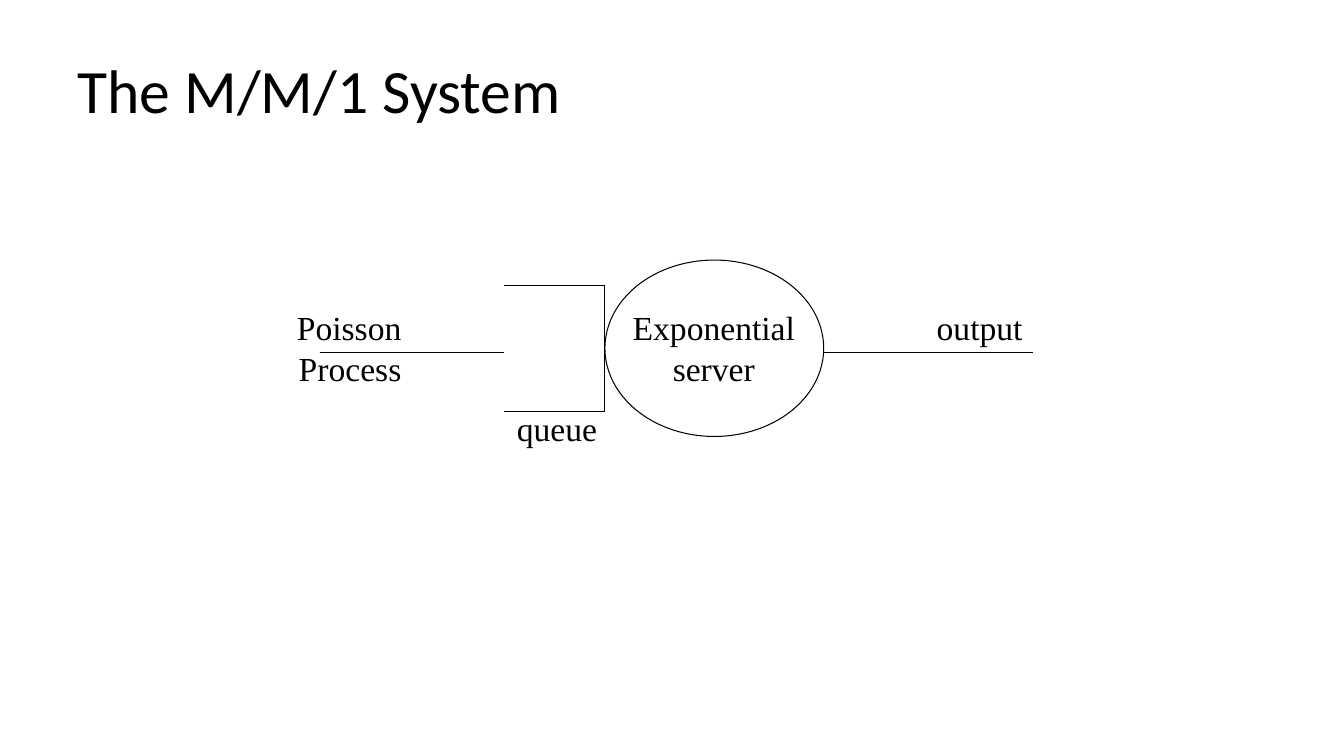
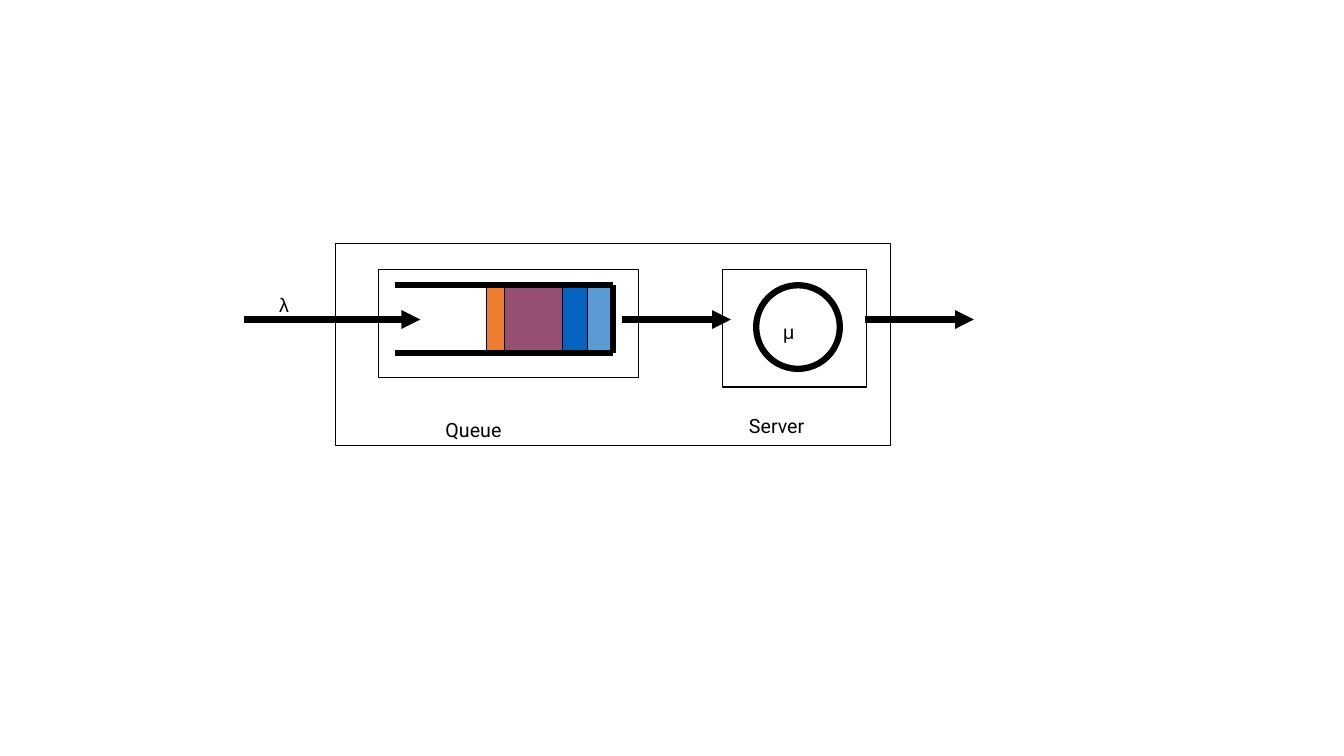
"""Build two slides that show the M/M/1 queueing system."""
from dataclasses import dataclass

from lxml.etree import SubElement
from pptx import Presentation
from pptx.dml.color import RGBColor
from pptx.enum.shapes import MSO_CONNECTOR, MSO_SHAPE
from pptx.enum.text import MSO_ANCHOR, PP_ALIGN
from pptx.oxml.ns import qn
from pptx.util import Inches, Pt


@dataclass(frozen=True)
class Theme:
    ink: str = "000000"
    paper: str = "FFFFFF"
    title_font: str = "Calibri"
    title_size: int = 44
    diagram_font: str = "Times New Roman"
    diagram_size: int = 24
    label_font: str = "Roboto"
    symbol_font: str = "Arial"
    label_size: int = 14
    thin: float = 0.75
    thick: float = 4.5


THEME = Theme()
TITLE = "The M/M/1 System"
TITLE_BOX = (0.67, 0.3, 12, 1.25)

SERVER_OVAL = (6, 2.58, 2.17, 1.75)
SYSTEM_LINES = [
    (3.17, 3.5, 5, 3.5),
    (5, 2.83, 6, 2.83),
    (6, 2.83, 6, 4.08),
    (5, 4.08, 6, 4.08),
    (8.17, 3.5, 10.25, 3.5),
]
SYSTEM_LABELS = [
    ("Poisson Process", (2.25, 3, 1.83, 0.91), PP_ALIGN.RIGHT),
    ("output", (8.74, 3, 1.5, 0.5), PP_ALIGN.RIGHT),
    ("queue", (4.52, 4, 1.5, 0.5), PP_ALIGN.RIGHT),
    ("Exponential server", (6.08, 3, 2, 0.91), PP_ALIGN.CENTER),
]

JOBS_LEFT, JOBS_TOP, JOBS_HEIGHT = 4.83, 2.83, 0.67
JOBS = [(0.17, "ED7D31"), (0.58, "954F72"), (0.25, "0563C1"), (0.25, "5B9BD5")]
QUEUE_WALLS = [
    (3.92, 2.83, 6.08, 2.83),
    (6.08, 2.83, 6.08, 3.5),
    (3.92, 3.5, 6.08, 3.5),
]
SERVER_CIRCLE = (7.5, 2.83, 0.83, 0.83)
FRAMES = [
    (3.33, 2.42, 5.5, 2),
    (3.75, 2.67, 2.58, 1.08),
    (7.17, 2.67, 1.42, 1.17),
]
FLOW_Y = 3.17
FLOWS = [(2.42, 4.17), (6.17, 7.25), (8.58, 9.66)]
MODEL_LABELS = [
    ("Queue", (4.32, 4.1, 1.26, 0.33), THEME.label_font),
    ("Server", (7.33, 4.06, 1.25, 0.33), THEME.label_font),
    ("λ", (2.67, 2.86, 0.5, 0.33), THEME.symbol_font),
    ("μ", (7.67, 3.12, 0.5, 0.33), THEME.symbol_font),
]


def inches(values):
    return [Inches(v) for v in values]


def style_text(tf, text, font, size, align=PP_ALIGN.LEFT):
    tf.word_wrap = True
    tf.text = text
    p = tf.paragraphs[0]
    p.alignment = align
    f = p.runs[0].font
    f.name, f.size = font, Pt(size)
    f.color.rgb = RGBColor.from_string(THEME.ink)
    return p


def add_title(s, text):
    sp = s.shapes.title
    sp.left, sp.top, sp.width, sp.height = inches(TITLE_BOX)
    sp.text_frame.vertical_anchor = MSO_ANCHOR.MIDDLE
    p = style_text(sp.text_frame, text, THEME.title_font, THEME.title_size)
    p.line_spacing = 0.9


def add_label(s, text, box, font, size, align=PP_ALIGN.LEFT):
    sp = s.shapes.add_textbox(*inches(box))
    style_text(sp.text_frame, text, font, size, align)


def set_line(sp, width):
    sp.line.color.rgb = RGBColor.from_string(THEME.ink)
    sp.line.width = Pt(width)


def add_outline(s, kind, box, fill=None, width=THEME.thin):
    sp = s.shapes.add_shape(kind, *inches(box))
    sp.shadow.inherit = False
    if fill:
        sp.fill.solid()
        sp.fill.fore_color.rgb = RGBColor.from_string(fill)
    else:
        sp.fill.background()
    set_line(sp, width)


def add_line(s, ends, width=THEME.thin, arrow=False):
    sp = s.shapes.add_connector(MSO_CONNECTOR.STRAIGHT, *inches(ends))
    set_line(sp, width)
    sp_pr = sp._element.spPr
    if arrow:
        SubElement(sp_pr.find(qn("a:ln")), qn("a:tailEnd"), type="triangle")
    SubElement(sp_pr, qn("a:effectLst"))


def build_system(s):
    add_title(s, TITLE)
    for ends in SYSTEM_LINES:
        add_line(s, ends)
    add_outline(s, MSO_SHAPE.OVAL, SERVER_OVAL, THEME.paper)
    for text, box, align in SYSTEM_LABELS:
        add_label(s, text, box, THEME.diagram_font, THEME.diagram_size, align)


def build_model(s):
    left = JOBS_LEFT
    for width, color in JOBS:
        add_outline(s, MSO_SHAPE.RECTANGLE, (left, JOBS_TOP, width, JOBS_HEIGHT), color)
        left += width
    for ends in QUEUE_WALLS:
        add_line(s, ends, THEME.thick)
    add_outline(s, MSO_SHAPE.OVAL, SERVER_CIRCLE, width=THEME.thick)
    for box in FRAMES:
        add_outline(s, MSO_SHAPE.RECTANGLE, box)
    for start, end in FLOWS:
        add_line(s, (start, FLOW_Y, end, FLOW_Y), THEME.thick, arrow=True)
    for text, box, font in MODEL_LABELS:
        add_label(s, text, box, font, THEME.label_size)


def main():
    prs = Presentation()
    prs.slide_width, prs.slide_height = inches((13.33, 7.5))
    title_only, blank = prs.slide_layouts[5], prs.slide_layouts[6]
    build_system(prs.slides.add_slide(title_only))
    build_model(prs.slides.add_slide(blank))
    prs.save("out.pptx")


if __name__ == "__main__":
    main()
